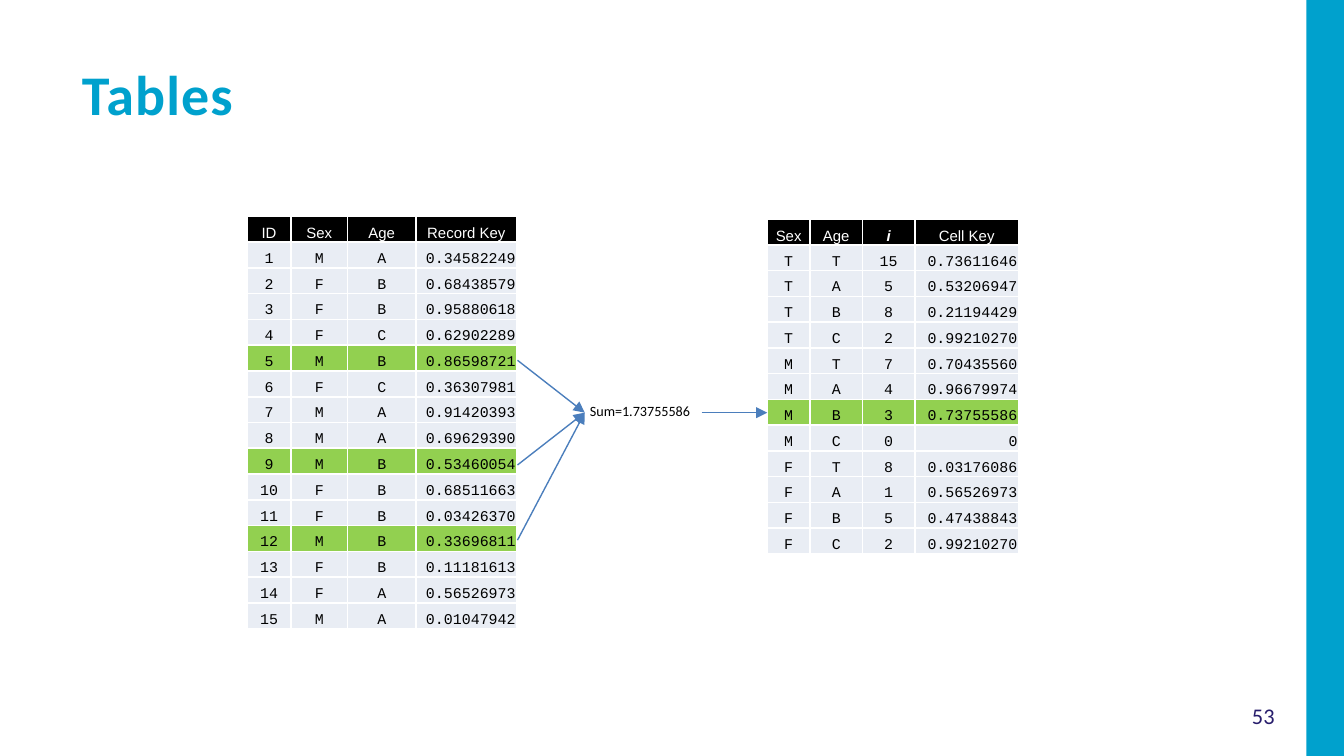
from lxml.etree import SubElement
from pptx import Presentation
from pptx.dml.color import RGBColor
from pptx.enum.shapes import MSO_CONNECTOR as Connector, MSO_SHAPE as Shape
from pptx.enum.text import MSO_ANCHOR as Anchor, PP_ALIGN as Align
from pptx.oxml import parse_xml
from pptx.oxml.ns import nsdecls, qn
from pptx.util import Cm, Pt


def color(value):
    return RGBColor.from_string(value)


def add_run(frame, text, font, size, ink, align=Align.LEFT):
    paragraph = frame.paragraphs[0]
    paragraph.alignment = align
    run = paragraph.add_run()
    run.text = text
    run.font.name = font
    run.font.size = Pt(size)
    run.font.color.rgb = color(ink)
    return run


BLUE, LINE, HIGHLIGHT, PALE = "00A1CD", "4B7EBC", "92D050", "E9EDF4"
ROW_HEIGHT = Cm(7.8 / 16)

RECORDS = """ID|Sex|Age|Record Key
1|M|A|0.34582249
2|F|B|0.68438579
3|F|B|0.95880618
4|F|C|0.62902289
5|M|B|0.86598721
6|F|C|0.36307981
7|M|A|0.91420393
8|M|A|0.69629390
9|M|B|0.53460054
10|F|B|0.68511663
11|F|B|0.03426370
12|M|B|0.33696811
13|F|B|0.11181613
14|F|A|0.56526973
15|M|A|0.01047942"""

CELLS = """Sex|Age|i|Cell Key
T|T|15|0.73611646
T|A|5|0.53206947
T|B|8|0.21194429
T|C|2|0.99210270
M|T|7|0.70435560
M|A|4|0.96679974
M|B|3|0.73755586
M|C|0|0
F|T|8|0.03176086
F|A|1|0.56526973
F|B|5|0.47438843
F|C|2|0.99210270"""

presentation = Presentation()
presentation.slide_width = Cm(25.4)
presentation.slide_height = Cm(14.29)
slide = presentation.slides.add_slide(presentation.slide_layouts[6])

side_bar = slide.shapes.add_shape(Shape.RECTANGLE, Cm(24.69), 0, Cm(0.71), Cm(14.29))
side_bar.shadow.inherit = False
side_bar.fill.solid()
side_bar.fill.fore_color.rgb = color(BLUE)
side_bar.line.fill.background()

page_number = slide.shapes.add_textbox(Cm(23.06), Cm(13.08), Cm(1.63), Cm(0.89))
page_number.text_frame.word_wrap = True
page_number.text_frame.vertical_anchor = Anchor.MIDDLE
add_run(page_number.text_frame, "53", "Calibri", 12, "271D6C", Align.CENTER)

title = slide.shapes.add_textbox(Cm(1.3), Cm(0.94), Cm(21.21), Cm(1.6))
title.text_frame.word_wrap = True
title.text_frame.margin_top = Cm(0.18)
title_run = add_run(title.text_frame, "Tables", "Calibri", 30, BLUE)
title_run.font.bold = True
title_run.font._element.set("spc", "60")

for left, top, widths, source, highlighted in (
    (4.67, 4.09, (0.83, 1.07, 1.29, 1.91), RECORDS, (5, 9, 12)),
    (14.5, 4.14, (0.81, 0.99, 0.99, 1.96), CELLS, (7,)),
):
    rows = [line.split("|") for line in source.splitlines()]
    table = slide.shapes.add_table(
        len(rows), len(widths), Cm(left), Cm(top), Cm(sum(widths)), ROW_HEIGHT * len(rows)
    ).table
    table.first_row = table.horz_banding = False
    for column, width in zip(table.columns, widths):
        column.width = Cm(width)
    for row_index, row in enumerate(rows):
        table.rows[row_index].height = ROW_HEIGHT
        header = row_index == 0
        if header:
            fill, font, ink = "000000", "Arial", "FFFFFF"
        else:
            fill = HIGHLIGHT if row_index in highlighted else PALE
            font, ink = "Courier New", "000000"
        for column_index, text in enumerate(row):
            cell = table.cell(row_index, column_index)
            cell.margin_left = cell.margin_right = cell.margin_top = Cm(0.02)
            cell.margin_bottom = 0
            cell.vertical_anchor = Anchor.BOTTOM
            properties = cell._tc.get_or_add_tcPr()
            for side in ("lnL", "lnR", "lnT", "lnB"):
                properties.append(parse_xml(
                    f'<a:{side} {nsdecls("a")} w="12700"><a:solidFill>'
                    f'<a:srgbClr val="FFFFFF"/></a:solidFill></a:{side}>'
                ))
            cell.fill.solid()
            cell.fill.fore_color.rgb = color(fill)
            is_key = column_index == 3 and not header
            align = Align.RIGHT if is_key else Align.CENTER
            run = add_run(cell.text_frame, text, font, 8, ink, align)
            if text == "i":
                run.font.bold = run.font.italic = True

sum_label = slide.shapes.add_textbox(Cm(11.05), Cm(7.49), Cm(2.21), Cm(0.61))
sum_label.text_frame.word_wrap = True
sum_label.text_frame.margin_left = sum_label.text_frame.margin_right = Cm(0.1)
add_run(sum_label.text_frame, "Sum=1.73755586", "Calibri", 7.6, "000000")

for start_x, start_y, end_x in (
    (9.78, 6.81, 11.05),
    (9.78, 8.79, 11.05),
    (9.78, 10.21, 11.05),
    (13.26, 7.8, 14.5),
):
    arrow = slide.shapes.add_connector(
        Connector.STRAIGHT, Cm(start_x), Cm(start_y), Cm(end_x), Cm(7.8)
    )
    arrow.line.color.rgb = color(LINE)
    arrow.line.width = Pt(0.75)
    SubElement(arrow.line._get_or_add_ln(), qn("a:tailEnd"), type="triangle")
    SubElement(arrow._element.spPr, qn("a:effectLst"))

presentation.save("out.pptx")
